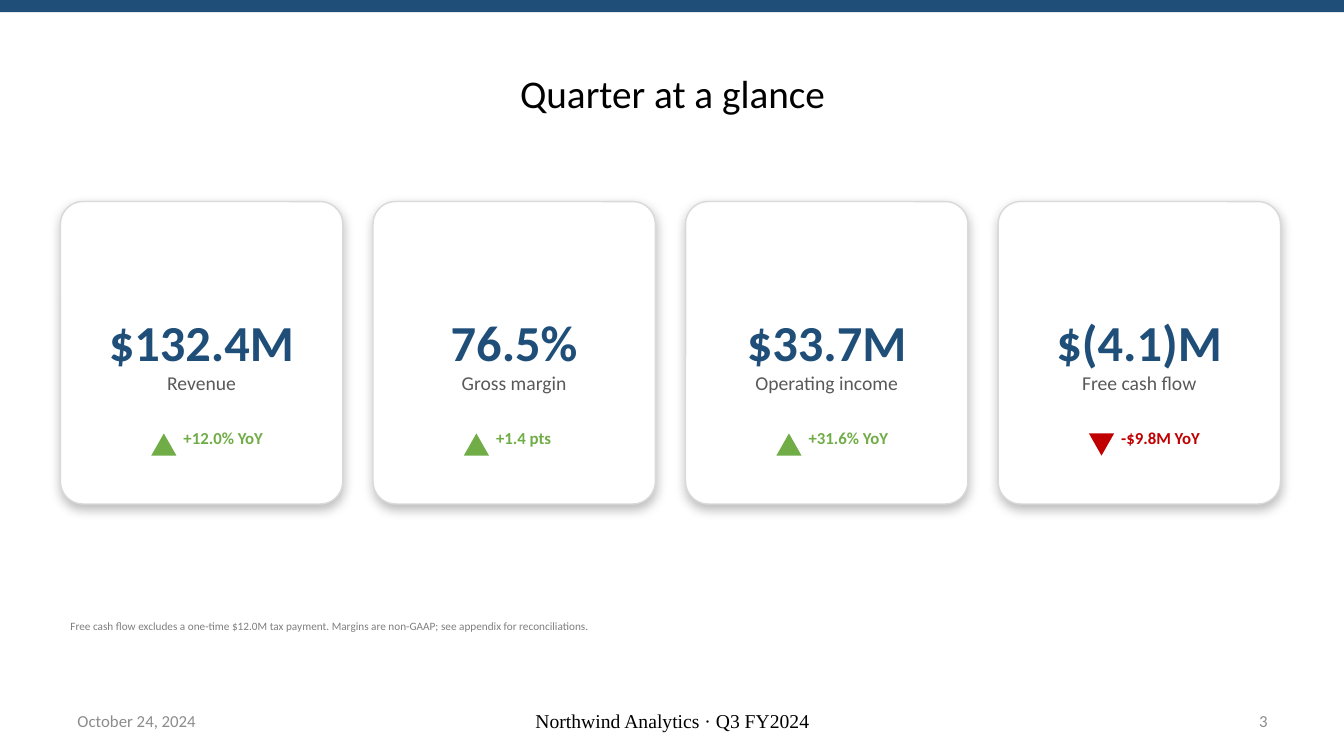
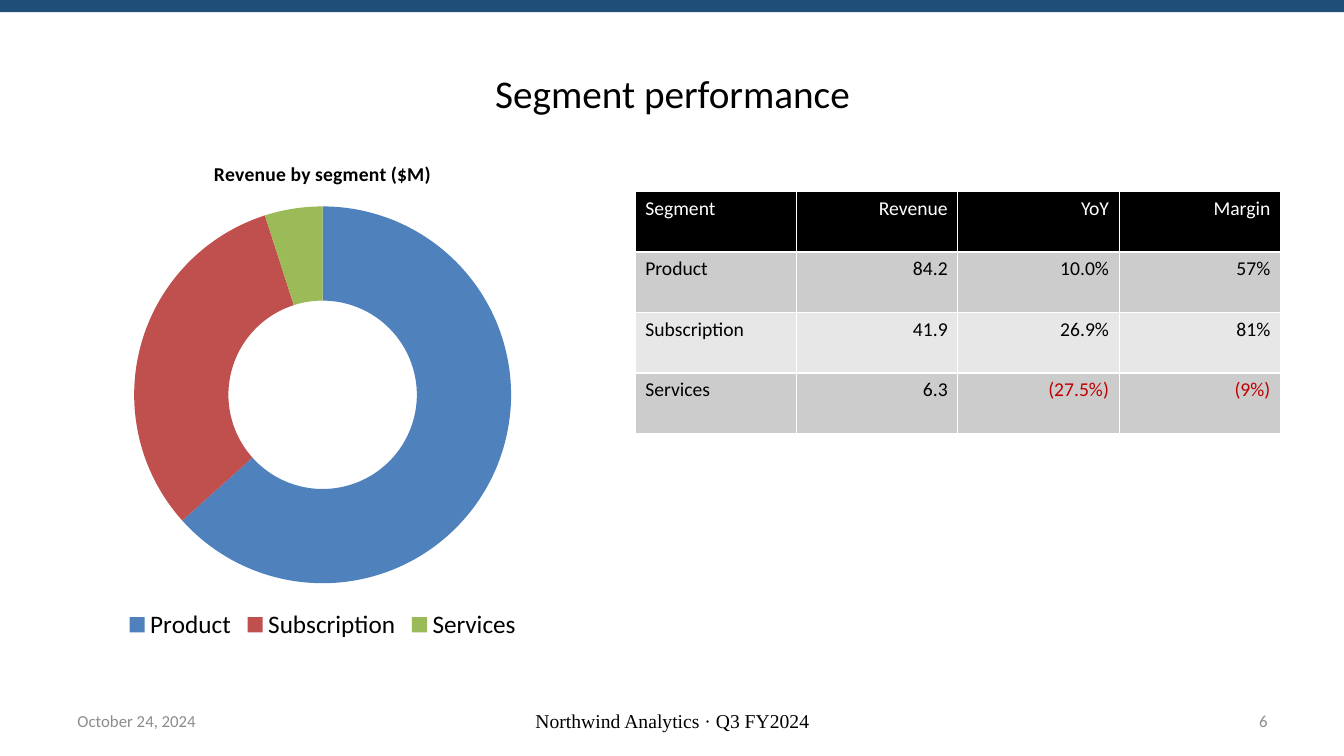
from lxml import etree
from pptx import Presentation
from pptx.chart.data import CategoryChartData
from pptx.dml.color import RGBColor
from pptx.enum.chart import XL_CHART_TYPE, XL_LEGEND_POSITION
from pptx.enum.shapes import MSO_SHAPE
from pptx.enum.text import MSO_ANCHOR, PP_ALIGN
from pptx.oxml.ns import qn
from pptx.util import Inches, Pt

LEFT, CENTER, RIGHT = PP_ALIGN.LEFT, PP_ALIGN.CENTER, PP_ALIGN.RIGHT
TOP, MIDDLE = MSO_ANCHOR.TOP, MSO_ANCHOR.MIDDLE
RECTANGLE, ROUNDED = MSO_SHAPE.RECTANGLE, MSO_SHAPE.ROUNDED_RECTANGLE
TRIANGLE = MSO_SHAPE.ISOSCELES_TRIANGLE
DOUGHNUT, LEGEND_BOTTOM = XL_CHART_TYPE.DOUGHNUT, XL_LEGEND_POSITION.BOTTOM

SLIDE_WIDTH, SLIDE_HEIGHT = 13.33, 7.5
FONT = "Calibri"
COLORS = {
    "navy": "1F4E79", "white": "FFFFFF", "black": "000000",
    "outline": "D9D9D9", "label": "595959", "note": "7F7F7F", "footer": "8C8C8C",
    "up": "70AD47", "down": "C00000",
    "band_dark": "CCCCCC", "band_light": "E7E7E7",
    "product": "4F81BD", "subscription": "C0504D", "services": "9BBB59",
}

FOOTER_TOP, FOOTER_HEIGHT = 6.95, 0.4
DATE = "October 24, 2024"
FOOTER = "Northwind Analytics · Q3 FY2024"

GLANCE = {
    "title": "Quarter at a glance",
    "number": "3",
    "cards": [
        ("$132.4M", "Revenue", "+12.0% YoY", "up"),
        ("76.5%", "Gross margin", "+1.4 pts", "up"),
        ("$33.7M", "Operating income", "+31.6% YoY", "up"),
        ("$(4.1)M", "Free cash flow", "-$9.8M YoY", "down"),
    ],
    "note": "Free cash flow excludes a one-time $12.0M tax payment. "
            "Margins are non-GAAP; see appendix for reconciliations.",
}
SEGMENTS = {
    "title": "Segment performance",
    "number": "6",
    "chart_title": "Revenue by segment ($M)",
    "shares": [("Product", 64), ("Subscription", 32), ("Services", 5)],
    "table": [
        ("Segment", "Revenue", "YoY", "Margin"),
        ("Product", "84.2", "10.0%", "57%"),
        ("Subscription", "41.9", "26.9%", "81%"),
        ("Services", "6.3", "(27.5%)", "(9%)"),
    ],
}


def rgb(name):
    return RGBColor.from_string(COLORS[name])


def box(left, top, width, height):
    return [Inches(value) for value in (left, top, width, height)]


def style_font(font, size, color, bold=False, name=FONT):
    font.name, font.size, font.bold = name, Pt(size), bold
    font.color.rgb = rgb(color)


def write(paragraph, text, size, color, bold=False, align=LEFT, name=FONT):
    paragraph.alignment = align
    run = paragraph.add_run()
    run.text = text
    style_font(run.font, size, color, bold, name)


def add_text(slide, place, text, size, color, anchor=TOP, inset=None, **style):
    frame = slide.shapes.add_textbox(*box(*place)).text_frame
    frame.word_wrap = True
    frame.vertical_anchor = anchor
    if inset is not None:
        frame.margin_left = frame.margin_right = Inches(inset)
        frame.margin_top = frame.margin_bottom = Inches(inset)
    write(frame.paragraphs[0], text, size, color, **style)


def add_shape(slide, kind, place, fill, line=None):
    shape = slide.shapes.add_shape(kind, *box(*place))
    shape.shadow.inherit = False
    shape.fill.solid()
    shape.fill.fore_color.rgb = rgb(fill)
    if line:
        shape.line.color.rgb = rgb(line)
        shape.line.width = Pt(1)
    else:
        shape.line.fill.background()
    return shape


def add_shadow(shape, blur, distance, opacity):
    effects = shape._element.spPr.find(qn("a:effectLst"))
    shadow = etree.SubElement(
        effects, qn("a:outerShdw"), blurRad=str(Pt(blur)), dist=str(Pt(distance)),
        dir=str(90 * 60000), algn="ctr", rotWithShape="0")
    color = etree.SubElement(shadow, qn("a:srgbClr"), val=COLORS["black"])
    etree.SubElement(color, qn("a:alpha"), val=str(opacity * 1000))


def add_slide(presentation, content):
    slide = presentation.slides.add_slide(presentation.slide_layouts[5])
    title = slide.shapes.title
    title.left, title.top, title.width, title.height = box(0.67, 0.3, 12, 1.25)
    title.text_frame.vertical_anchor = MIDDLE
    write(title.text_frame.paragraphs[0], content["title"], 28, "black", align=CENTER)
    add_shape(slide, RECTANGLE, (0, 0, SLIDE_WIDTH, 0.12), "navy")
    for left, width, text, size, color, align, name in (
        (0.67, 3.11, DATE, 12, "footer", LEFT, FONT),
        (4.56, 4.22, FOOTER, 14, "black", CENTER, "Times New Roman"),
        (9.56, 3.11, content["number"], 12, "footer", RIGHT, FONT),
    ):
        add_text(slide, (left, FOOTER_TOP, width, FOOTER_HEIGHT), text, size, color,
                 anchor=MIDDLE, align=align, name=name)
    return slide


def add_card(slide, left, value, label, change, trend):
    card = add_shape(slide, ROUNDED, (left, 2, 2.8, 3), "white", "outline")
    card.adjustments[0] = 0.08
    add_shadow(card, blur=8, distance=3, opacity=25)
    frame = card.text_frame
    frame.word_wrap = True
    frame.vertical_anchor = MIDDLE
    write(frame.paragraphs[0], value, 36, "navy", bold=True, align=CENTER)
    write(frame.add_paragraph(), label, 14, "label", align=CENTER)
    marker = add_shape(slide, TRIANGLE, (left + 0.9, 4.3, 0.25, 0.22), trend)
    if trend == "down":
        marker._element.spPr.xfrm.set("flipV", "1")
    add_text(slide, (left + 1.2, 4.22, 1.5, 0.35), change, 12, trend,
             inset=0.02, bold=True)


def build_glance(presentation):
    slide = add_slide(presentation, GLANCE)
    for column, card in enumerate(GLANCE["cards"]):
        add_card(slide, 0.6 + column * 3.1, *card)
    add_text(slide, (0.6, 6.1, 12, 0.5), GLANCE["note"], 8, "note")


def add_revenue_chart(slide):
    data = CategoryChartData()
    data.categories = [name for name, share in SEGMENTS["shares"]]
    data.add_series("Series 1", [share for name, share in SEGMENTS["shares"]])
    chart = slide.shapes.add_chart(DOUGHNUT, *box(0.6, 1.4, 5.2, 5), data).chart
    style_font(chart.font, 10, "black", name="Arial")
    chart.has_title = True
    write(chart.chart_title.text_frame.paragraphs[0], SEGMENTS["chart_title"],
          14, "black", bold=True, align=CENTER)
    chart.has_legend = True
    chart.legend.position = LEGEND_BOTTOM
    chart.legend.include_in_layout = False
    style_font(chart.legend.font, 18, "black")
    plot = chart.plots[0]
    plot.vary_by_categories = True
    plot._element.find(qn("c:holeSize")).set("val", "50")
    for index, (name, share) in enumerate(SEGMENTS["shares"]):
        fill = plot.series[0].points[index].format.fill
        fill.solid()
        fill.fore_color.rgb = rgb(name.lower())


def add_borders(cell):
    properties = cell._tc.get_or_add_tcPr()
    for side in ("lnL", "lnR", "lnT", "lnB"):
        line = etree.SubElement(properties, qn(f"a:{side}"), w=str(Pt(0.96)))
        fill = etree.SubElement(line, qn("a:solidFill"))
        etree.SubElement(fill, qn("a:srgbClr"), val=COLORS["white"])


def add_segment_table(slide):
    rows = SEGMENTS["table"]
    table = slide.shapes.add_table(
        len(rows), len(rows[0]), *box(6.3, 1.9, 6.4, 2.4)).table
    for row, values in enumerate(rows):
        background = "black" if row == 0 else "band_dark" if row % 2 else "band_light"
        for column, text in enumerate(values):
            cell = table.cell(row, column)
            add_borders(cell)
            cell.fill.solid()
            cell.fill.fore_color.rgb = rgb(background)
            negative = text.startswith("(")
            color = "white" if row == 0 else "down" if negative else "black"
            write(cell.text_frame.paragraphs[0], text, 14, color,
                  align=RIGHT if column else LEFT)


def build_segments(presentation):
    slide = add_slide(presentation, SEGMENTS)
    add_revenue_chart(slide)
    add_segment_table(slide)


def main():
    presentation = Presentation()
    presentation.slide_width = Inches(SLIDE_WIDTH)
    presentation.slide_height = Inches(SLIDE_HEIGHT)
    build_glance(presentation)
    build_segments(presentation)
    presentation.save("out.pptx")


if __name__ == "__main__":
    main()
